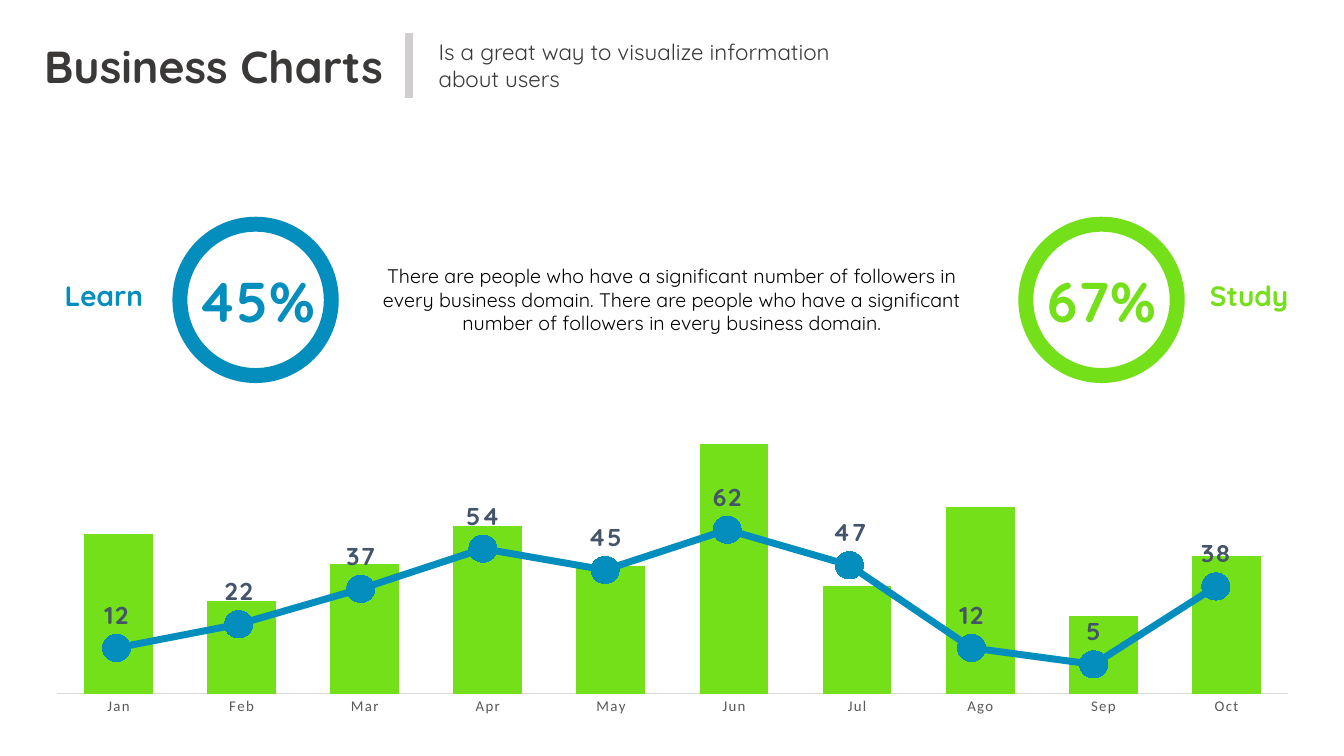
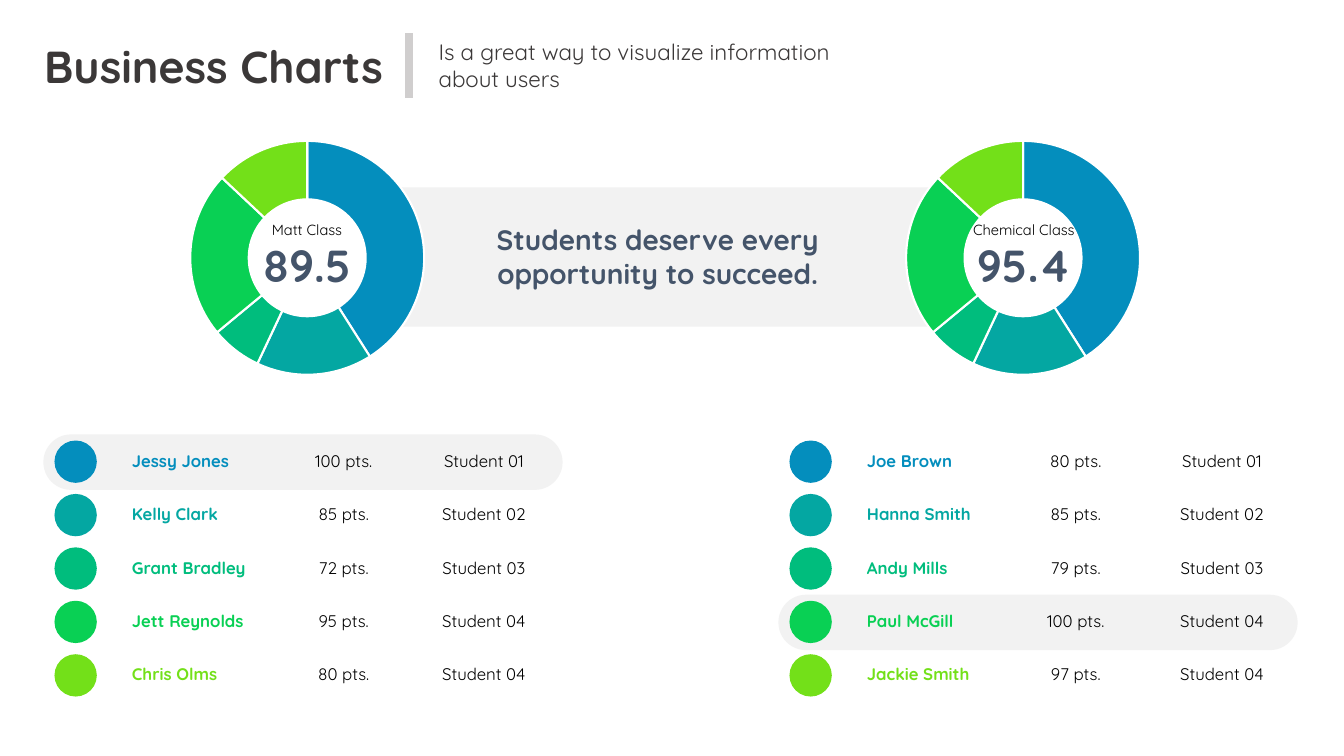
from dataclasses import dataclass

from lxml.etree import Element, SubElement
from pptx import Presentation
from pptx.chart.data import CategoryChartData
from pptx.dml.color import RGBColor
from pptx.enum.chart import XL_CHART_TYPE, XL_LABEL_POSITION, XL_MARKER_STYLE, XL_TICK_MARK
from pptx.enum.shapes import MSO_CONNECTOR, MSO_SHAPE
from pptx.enum.text import MSO_ANCHOR, MSO_AUTO_SIZE, PP_ALIGN
from pptx.oxml.ns import qn
from pptx.util import Inches, Pt


@dataclass(frozen=True)
class Theme:
    font: str = "Quicksand"
    axis_font: str = "Calibri"
    heading: str = "3B3838"
    text: str = "000000"
    accent_text: str = "44546A"
    divider: str = "D0CECE"
    band: str = "F2F2F2"
    axis_line: str = "D9D9D9"
    axis_text: str = "595959"
    white: str = "FFFFFF"
    blue: str = "048EBD"
    green: str = "73E019"
    series: tuple = ("048EBD", "04A7A2", "00BD7D", "09D054", "73E019")
    title_size: float = 32
    subtitle_size: float = 16
    percent_size: float = 40
    score_size: float = 32
    label_size: float = 20
    body_size: float = 14
    row_size: float = 12
    caption_size: float = 10.5
    axis_size: float = 10.6
    value_size: float = 18


THEME = Theme()

TITLE = "Business Charts"
SUBTITLE = "Is a great way to visualize information about users"

FOLLOWERS = ("There are people who have a significant number of followers in every "
             "business domain. There are people who have a significant number of "
             "followers in every business domain.")
# label, label left, percentage, ring left, colour
RINGS = [
    ("Learn", 0, "45%", 1.71, THEME.blue),
    ("Study", 11.36, "67%", 10.1, THEME.green),
]
MONTHS = ["Jan", "Feb", "Mar", "Apr", "May", "Jun", "Jul", "Ago", "Sep", "Oct"]
BAR_VALUES = [64, 37, 52, 67, 51, 100, 43, 75, 31, 55]
LINE_VALUES = [12, 22, 37, 54, 45, 62, 47, 12, 5, 38]

MESSAGE = "Students deserve every opportunity to succeed."
SHARES = [41, 16, 7, 23, 13]
CLASSES = [
    {"name": "Matt Class", "score": "89.5", "chart_left": 1.47, "score_left": 2.27,
     "dot_left": 0.54, "points_left": 2.96, "student_left": 4.12, "highlight": 0,
     "rows": [("Jessy Jones", "100 pts.", "Student 01"),
              ("Kelly Clark", "85 pts.", "Student 02"),
              ("Grant Bradley", "72 pts.", "Student 03"),
              ("Jett Reynolds", "95 pts.", "Student 04"),
              ("Chris Olms", "80 pts.", "Student 04")]},
    {"name": "Chemical Class", "score": "95.4", "chart_left": 8.57, "score_left": 9.38,
     "dot_left": 7.83, "points_left": 10.22, "student_left": 11.44, "highlight": 3,
     "rows": [("Joe Brown", "80 pts.", "Student 01"),
              ("Hanna Smith", "85 pts.", "Student 02"),
              ("Andy Mills", "79 pts.", "Student 03"),
              ("Paul McGill", "100 pts.", "Student 04"),
              ("Jackie Smith", "97 pts.", "Student 04")]},
]
ROW_TOP, ROW_PITCH, DOT_SIZE = 4.37, 0.53, 0.42


def rgb(color):
    return RGBColor.from_string(color)


def box(left, top, width, height):
    return Inches(left), Inches(top), Inches(width), Inches(height)


def style_font(font, size, color, bold=False, name=THEME.font):
    font.name, font.size, font.bold = name, Pt(size), bold
    font.color.rgb = rgb(color)


def fill_text(shape, text, size, color, bold=False, align=PP_ALIGN.CENTER,
              anchor=MSO_ANCHOR.TOP, spacing=None):
    frame = shape.text_frame
    frame.word_wrap = True
    frame.auto_size = MSO_AUTO_SIZE.NONE
    frame.vertical_anchor = anchor
    paragraph = frame.paragraphs[0]
    paragraph.alignment = align
    paragraph.space_before = Pt(0)
    if spacing:
        paragraph.line_spacing = spacing
    run = paragraph.add_run()
    run.text = text
    style_font(run.font, size, color, bold)


def add_text(slide, bounds, text, size, color, **options):
    shape = slide.shapes.add_textbox(*box(*bounds))
    fill_text(shape, text, size, color, **options)
    return shape


def add_middle_text(slide, bounds, text, size, color, spacing=None):
    """Bold centred text, vertically centred within narrow margins."""
    shape = add_text(slide, bounds, text, size, color, bold=True,
                     anchor=MSO_ANCHOR.MIDDLE, spacing=spacing)
    frame = shape.text_frame
    frame.margin_left = frame.margin_right = Inches(0.06)
    frame.margin_top = frame.margin_bottom = Inches(0.06)


def add_filled(slide, kind, bounds, color, adjustment=None):
    shape = slide.shapes.add_shape(kind, *box(*bounds))
    shape.shadow.inherit = False
    shape.fill.solid()
    shape.fill.fore_color.rgb = rgb(color)
    shape.line.fill.background()
    if adjustment is not None:
        shape.adjustments[0] = adjustment


def add_headed_slide(presentation):
    slide = presentation.slides.add_slide(presentation.slide_layouts[0])
    title, subtitle = slide.placeholders
    title.left, title.top, title.width, title.height = box(0.18, 0.33, 3.88, 0.64)
    fill_text(title, TITLE, THEME.title_size, THEME.heading, bold=True)
    subtitle.left, subtitle.top, subtitle.width, subtitle.height = box(4.25, 0.33, 4.51, 0.64)
    fill_text(subtitle, SUBTITLE, THEME.subtitle_size, THEME.heading, align=PP_ALIGN.LEFT)
    divider = slide.shapes.add_connector(
        MSO_CONNECTOR.STRAIGHT, Inches(4.06), Inches(0.33), Inches(4.06), Inches(0.97))
    divider.line.color.rgb = rgb(THEME.divider)
    divider.line.width = Pt(5.5)
    SubElement(divider.element.spPr, qn("a:effectLst"))
    return slide


def make_transparent(chart):
    plot_area = chart.element.find(qn("c:chart")).find(qn("c:plotArea"))
    for properties in plot_area.findall(qn("c:spPr")):
        plot_area.remove(properties)
    SubElement(SubElement(plot_area, qn("c:spPr")), qn("a:noFill"))
    background = Element(qn("c:spPr"))
    SubElement(background, qn("a:noFill"))
    chart.element.find(qn("c:chart")).addnext(background)


def place_plot(chart, fractions):
    """Fix the inner plot area, given as left, top, width, height fractions."""
    plot_area = chart.element.find(qn("c:chart")).find(qn("c:plotArea"))
    for layout in plot_area.findall(qn("c:layout")):
        plot_area.remove(layout)
    layout = Element(qn("c:layout"))
    plot_area.insert(0, layout)
    manual = SubElement(layout, qn("c:manualLayout"))
    settings = [("layoutTarget", "inner"), ("xMode", "edge"), ("yMode", "edge")]
    settings += zip("xywh", map(str, fractions))
    for tag, value in settings:
        SubElement(manual, qn(f"c:{tag}")).set("val", value)


def add_plain_chart(slide, kind, bounds, categories, values, plot_fractions):
    data = CategoryChartData()
    data.categories = categories
    data.add_series("Series 1", values)
    chart = slide.shapes.add_chart(kind, *box(*bounds), data).chart
    chart.has_title = chart.has_legend = False
    style_font(chart.font, 10, THEME.text, name=THEME.axis_font)
    make_transparent(chart)
    place_plot(chart, plot_fractions)
    return chart


def hide_value_axis(chart, maximum):
    axis = chart.value_axis
    axis.minimum_scale, axis.maximum_scale = 0, maximum
    axis.has_major_gridlines = False
    axis.visible = False


def space_letters(chart):
    for properties in chart.element.iter(qn("a:defRPr")):
        properties.set("spc", "100")


def add_month_columns(slide):
    chart = add_plain_chart(slide, XL_CHART_TYPE.COLUMN_STACKED, (0.31, 3.85, 12.72, 3.32),
                            MONTHS, BAR_VALUES, (0.02, 0.018, 0.96, 0.896))
    hide_value_axis(chart, 120)
    plot = chart.plots[0]
    plot.gap_width, plot.overlap, plot.vary_by_categories = 79, 100, False
    fill = plot.series[0].format.fill
    fill.solid()
    fill.fore_color.rgb = rgb(THEME.green)
    axis = chart.category_axis
    axis.major_tick_mark = XL_TICK_MARK.NONE
    axis.format.line.color.rgb = rgb(THEME.axis_line)
    axis.format.line.width = Pt(0.75)
    style_font(axis.tick_labels.font, THEME.axis_size, THEME.axis_text, name=THEME.axis_font)
    space_letters(chart)


def add_month_line(slide):
    categories = [str(number) for number in range(1, len(LINE_VALUES) + 1)]
    chart = add_plain_chart(slide, XL_CHART_TYPE.LINE_MARKERS, (0.31, 4.78, 12.62, 1.97),
                            categories, LINE_VALUES, (0.019, 0.119, 0.96, 0.86))
    hide_value_axis(chart, 70)
    chart.category_axis.visible = False
    plot = chart.plots[0]
    plot.vary_by_categories = False
    series = plot.series[0]
    series.smooth = False
    series.format.line.color.rgb = rgb(THEME.blue)
    series.format.line.width = Pt(5)
    marker = series.marker
    marker.style, marker.size = XL_MARKER_STYLE.CIRCLE, 20
    marker.format.fill.solid()
    marker.format.fill.fore_color.rgb = rgb(THEME.blue)
    marker.format.line.color.rgb = rgb(THEME.blue)
    labels = series.data_labels
    labels.show_value = True
    labels.position = XL_LABEL_POSITION.ABOVE
    style_font(labels.font, THEME.value_size, THEME.accent_text, bold=True)
    space_letters(chart)


def add_share_doughnut(slide, left):
    categories = [str(number) for number in range(1, len(SHARES) + 1)]
    chart = add_plain_chart(slide, XL_CHART_TYPE.DOUGHNUT, (left, 1.28, 3.09, 2.86),
                            categories, SHARES, (0.135, 0.041, 0.751, 0.812))
    next(chart.element.iter(qn("c:holeSize"))).set("val", "71")
    for index, color in enumerate(THEME.series):
        point = chart.plots[0].series[0].points[index].format
        point.fill.solid()
        point.fill.fore_color.rgb = rgb(color)
        point.line.color.rgb = rgb(THEME.white)
        point.line.width = Pt(1.5)


def add_student_rows(slide, group):
    dot_left = group["dot_left"]
    for index, (name, points, student) in enumerate(group["rows"]):
        top = ROW_TOP + index * ROW_PITCH
        color = THEME.series[index]
        if index == group["highlight"]:
            add_filled(slide, MSO_SHAPE.ROUNDED_RECTANGLE,
                       (dot_left - 0.11, top - 0.06, 5.15, 0.55), THEME.band, 0.5)
        add_filled(slide, MSO_SHAPE.OVAL, (dot_left, top, DOT_SIZE, DOT_SIZE), color)
        text_top = top + 0.05
        add_text(slide, (dot_left + 0.67, text_top, 1.61, 0.3), name, THEME.row_size,
                 color, bold=True, align=PP_ALIGN.LEFT)
        for left, width, text in ((group["points_left"], 0.9, points),
                                  (group["student_left"], 1.36, student)):
            add_text(slide, (left, text_top, width, 0.3), text, THEME.row_size, THEME.text)


def build_month_slide(presentation):
    slide = add_headed_slide(presentation)
    add_month_columns(slide)
    add_month_line(slide)
    add_text(slide, (3.56, 2.57, 6.21, 0.81), FOLLOWERS, THEME.body_size, THEME.text)
    for label, label_left, percent, ring_left, color in RINGS:
        add_middle_text(slide, (label_left, 2.8, 2.06, 0.35), label, THEME.label_size,
                        color, spacing=0.7)
        add_middle_text(slide, (ring_left + 0.14, 2.58, 1.38, 0.79), percent,
                        THEME.percent_size, color)
        add_filled(slide, MSO_SHAPE.DONUT, (ring_left, 2.15, 1.65, 1.65), color, 0.09)


def build_class_slide(presentation):
    slide = add_headed_slide(presentation)
    add_filled(slide, MSO_SHAPE.RECTANGLE, (3.94, 1.86, 5.32, 1.38), THEME.band)
    for group in CLASSES:
        add_share_doughnut(slide, group["chart_left"])
        left = group["score_left"]
        add_text(slide, (left, 2.14, 1.55, 0.33), group["name"], THEME.caption_size, THEME.text)
        add_middle_text(slide, (left, 2.25, 1.55, 0.76), group["score"],
                        THEME.score_size, THEME.accent_text)
        add_student_rows(slide, group)
    add_text(slide, (4.61, 2.16, 3.83, 0.77), MESSAGE, THEME.label_size,
             THEME.accent_text, bold=True)


def main():
    presentation = Presentation()
    presentation.slide_width, presentation.slide_height = Inches(13.33), Inches(7.5)
    build_month_slide(presentation)
    build_class_slide(presentation)
    presentation.save("out.pptx")


if __name__ == "__main__":
    main()
